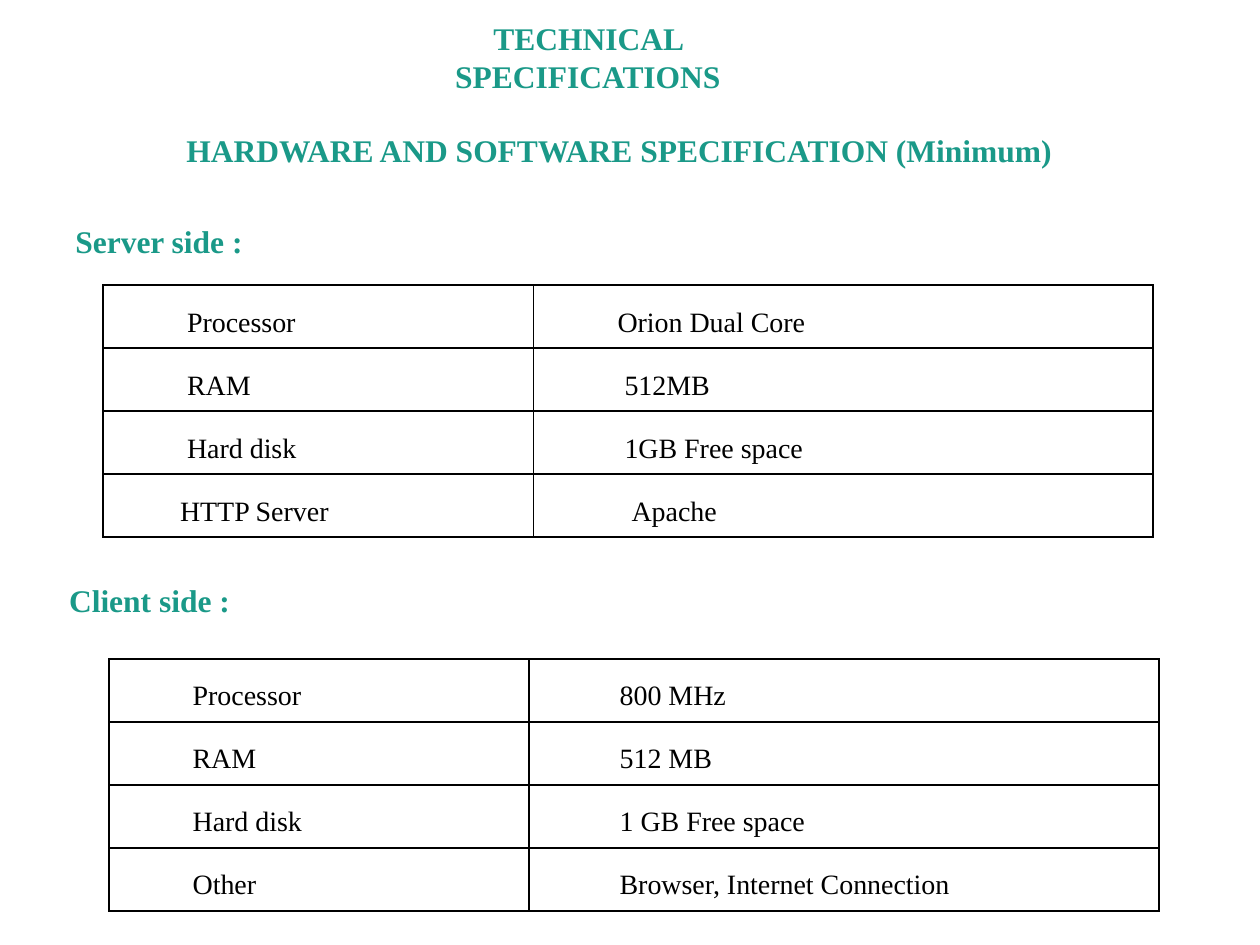
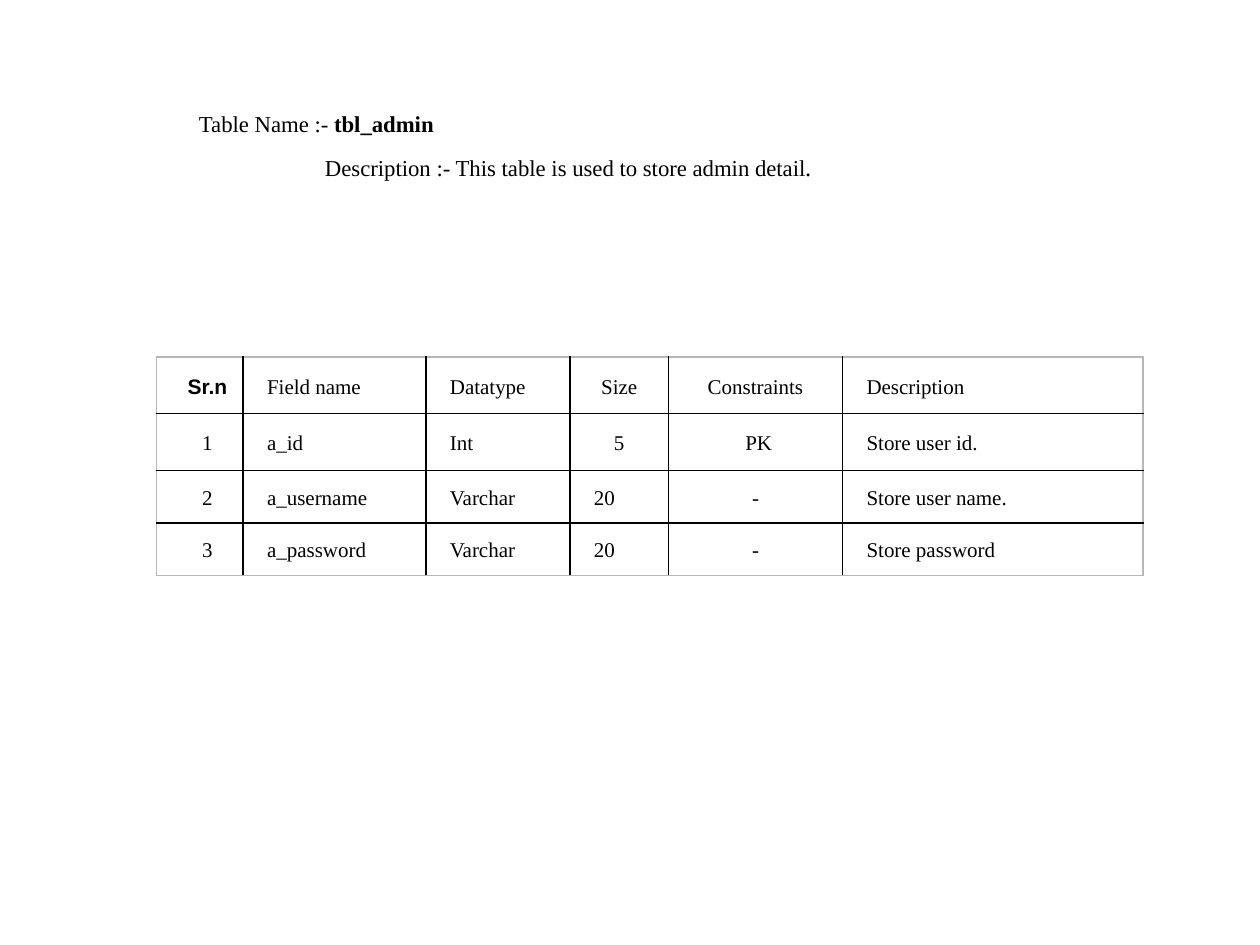
from dataclasses import dataclass

from lxml import etree
from pptx import Presentation
from pptx.dml.color import RGBColor
from pptx.enum.text import MSO_ANCHOR, PP_ALIGN
from pptx.oxml.ns import qn
from pptx.util import Pt

LEFT, CENTER = PP_ALIGN.LEFT, PP_ALIGN.CENTER
TOP, MIDDLE = MSO_ANCHOR.TOP, MSO_ANCHOR.MIDDLE
TEAL, BLACK, GREY = "1A9988", "000000", "B7B7B7"
SERIF, SANS = "Times New Roman", "Arial"


@dataclass
class Heading:
    text: str
    left: float
    top: float
    width: float
    height: float
    align: PP_ALIGN = LEFT
    inset_y: float = 3.6


@dataclass
class Cell:
    text: str
    indent: float = 0
    align: PP_ALIGN = LEFT
    font: str = SERIF
    bold: bool = False


@dataclass
class Grid:
    left: float
    top: float
    widths: list[float]
    heights: list[float]
    cells: list[list[Cell]]
    size: float
    spacing: float
    inset_x: float
    inset_y: float
    anchor: MSO_ANCHOR = TOP
    edge: str = BLACK


def rgb(color: str) -> RGBColor:
    return RGBColor.from_string(color)


def style(font, size: float, color: str = BLACK, name: str = SERIF, bold: bool = False) -> None:
    font.name, font.size, font.bold = name, Pt(size), bold
    font.color.rgb = rgb(color)


def set_indent(p, indent: float) -> None:
    pPr = p._p.get_or_add_pPr()
    pPr.set("marL", str(Pt(indent)))
    pPr.set("indent", "0")


def add_textbox(s, left: float, top: float, width: float, height: float, inset_y: float = 3.6):
    tf = s.shapes.add_textbox(Pt(left), Pt(top), Pt(width), Pt(height)).text_frame
    tf.word_wrap = True
    tf.margin_top = tf.margin_bottom = Pt(inset_y)
    return tf


def add_heading(s, h: Heading) -> None:
    p = add_textbox(s, h.left, h.top, h.width, h.height, h.inset_y).paragraphs[0]
    p.text, p.alignment = h.text, h.align
    style(p.font, 18, TEAL, bold=True)


def add_border(cell, side: str, color: str) -> None:
    tcPr = cell._tc.get_or_add_tcPr()
    ln = etree.SubElement(tcPr, qn(f"a:ln{side}"), w=str(Pt(1)))
    fill = etree.SubElement(ln, qn("a:solidFill"))
    etree.SubElement(fill, qn("a:srgbClr"), val=color)


def fill_cell(cell, c: Cell, g: Grid) -> None:
    cell.fill.background()
    cell.vertical_anchor = g.anchor
    cell.margin_left = cell.margin_right = Pt(g.inset_x)
    cell.margin_top = cell.margin_bottom = Pt(g.inset_y)
    p = cell.text_frame.paragraphs[0]
    p.text, p.alignment, p.line_spacing = c.text, c.align, g.spacing
    set_indent(p, c.indent)
    style(p.font, g.size, name=c.font, bold=c.bold)


def add_grid(s, g: Grid) -> None:
    """Draw a ruled table whose outer frame may differ in colour from its inner rules."""
    rows, cols = len(g.heights), len(g.widths)
    table = s.shapes.add_table(rows, cols, Pt(g.left), Pt(g.top),
                               Pt(sum(g.widths)), Pt(sum(g.heights))).table
    table.first_row = table.horz_banding = False
    for column, width in zip(table.columns, g.widths):
        column.width = Pt(width)
    for row, height in zip(table.rows, g.heights):
        row.height = Pt(height)
    for i, row in enumerate(g.cells):
        for j, c in enumerate(row):
            cell = table.cell(i, j)
            outer = {"L": j == 0, "R": j == cols - 1, "T": i == 0, "B": i == rows - 1}
            for side, on_edge in outer.items():
                add_border(cell, side, g.edge if on_edge else BLACK)
            fill_cell(cell, c, g)


def spec_grid(left: float, top: float, widths: list[float], cells: list[list[Cell]]) -> Grid:
    return Grid(left, top, widths, [36] * len(cells), cells,
                size=16, spacing=1.5, inset_x=7.92, inset_y=3.6)


def build_specifications(s) -> None:
    headings = [
        Heading("TECHNICAL SPECIFICATIONS", 206, 7.2, 260, 28.8, CENTER),
        Heading("HARDWARE AND SOFTWARE SPECIFICATION (Minimum)", 59.8, 71.3, 588.2, 48.2, CENTER),
        Heading("Server side :", 36, 119.5, 139, 36, inset_y=7.2),
        Heading("Client side :", 32.4, 328.3, 115.2, 36),
    ]
    for h in headings:
        add_heading(s, h)
    server = [
        [Cell("Processor", 40), Cell("Orion Dual Core", 40)],
        [Cell("RAM", 40), Cell("512MB", 44)],
        [Cell("Hard disk", 40), Cell("1GB Free space", 44)],
        [Cell("HTTP Server", 36), Cell("Apache", 48)],
    ]
    client = [
        ("Processor", "800 MHz"),
        ("RAM", "512 MB"),
        ("Hard disk", "1 GB Free space"),
        ("Other", "Browser, Internet Connection"),
    ]
    add_grid(s, spec_grid(59, 163, [246, 354], server))
    add_grid(s, spec_grid(62.2, 376.6, [240, 360],
                          [[Cell(name, 40), Cell(value, 44)] for name, value in client]))


def build_admin_table(s) -> None:
    tf = add_textbox(s, 34.6, 49, 603.4, 58.3)
    lines = [
        (72, [("Table Name :- ", 13, False), ("tbl_admin", 13, True)]),
        (144, [("Description :- This table is used to store admin detail", 13, False),
               (".", 14, False)]),
    ]
    for i, (indent, runs) in enumerate(lines):
        p = tf.add_paragraph() if i else tf.paragraphs[0]
        set_indent(p, indent)
        p.line_spacing = Pt(25.6)
        for text, size, bold in runs:
            r = p.add_run()
            r.text = text
            style(r.font, size, bold=bold)

    indent = 8.64
    header = [
        Cell("Sr.n", indent, CENTER, SANS, True),
        Cell("Field name", indent),
        Cell("Datatype", indent),
        Cell("Size", align=CENTER),
        Cell("Constraints", align=CENTER),
        Cell("Description", indent),
    ]
    fields = [
        ("a_id", "Int", Cell("5", align=CENTER), Cell("PK", 3.6, CENTER), "Store user id."),
        ("a_username", "Varchar", Cell("20", indent), Cell("-", align=CENTER), "Store user name."),
        ("a_password", "Varchar", Cell("20", indent), Cell("-", align=CENTER), "Store password"),
    ]
    body = [
        [Cell(str(n), indent, CENTER), Cell(name, indent), Cell(datatype, indent),
         size, constraint, Cell(description, indent)]
        for n, (name, datatype, size, constraint, description) in enumerate(fields, 1)
    ]
    add_grid(s, Grid(89.5, 204, [49.5, 104.5, 82.3, 56.2, 99.6, 171.6], [32.4, 32.4, 30, 30],
                     [header, *body], size=12, spacing=1.15, inset_x=5, inset_y=0,
                     anchor=MIDDLE, edge=GREY))


def main() -> None:
    prs = Presentation()
    prs.slide_width, prs.slide_height = Pt(720), Pt(540)
    for build in (build_specifications, build_admin_table):
        build(prs.slides.add_slide(prs.slide_layouts[6]))
    prs.save("out.pptx")


if __name__ == "__main__":
    main()
